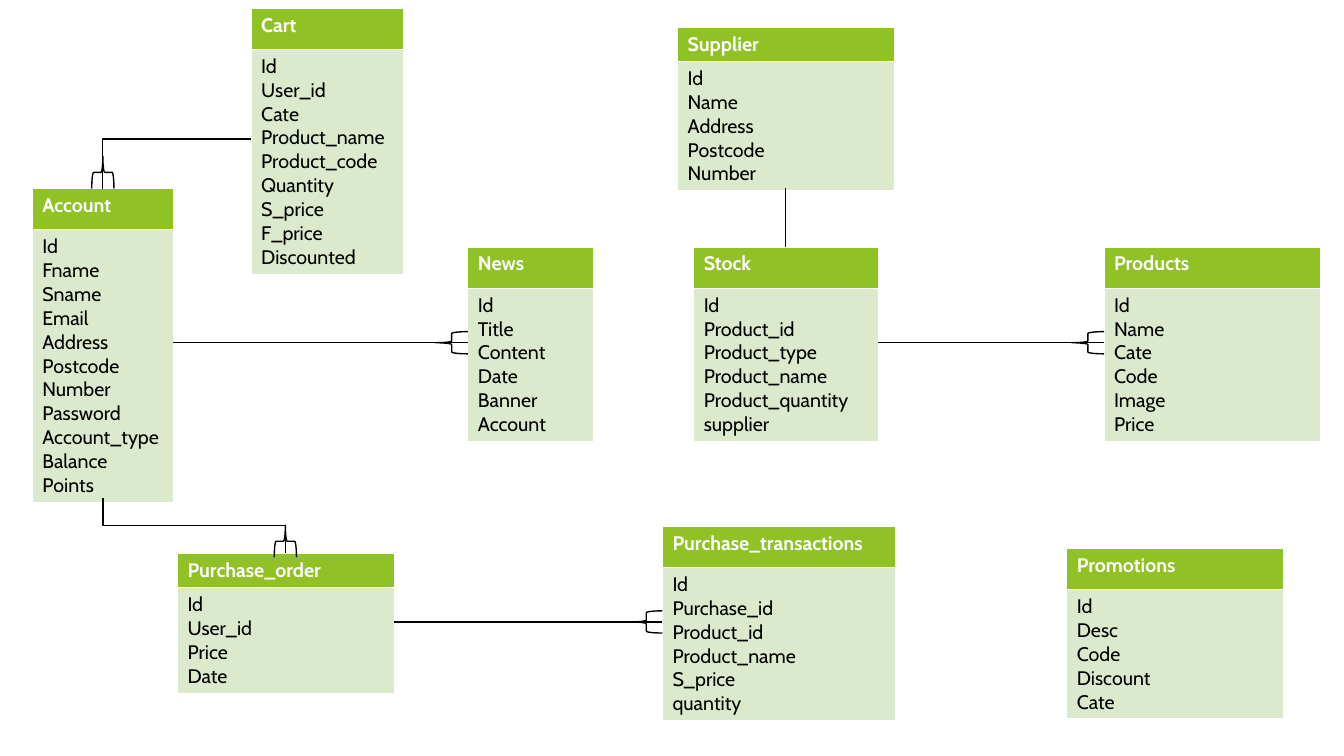
from pptx import Presentation
from pptx.dml.color import RGBColor
from pptx.enum import shapes, text
from pptx.oxml import parse_xml
from pptx.oxml.ns import nsdecls
from pptx.util import Inches, Pt

GREEN = RGBColor(0x90, 0xC2, 0x26)
PALE_GREEN = RGBColor(0xDB, 0xE9, 0xCD)
WHITE = RGBColor(0xFF, 0xFF, 0xFF)
BLACK = RGBColor(0x00, 0x00, 0x00)
FONT = "Cabin"

# left, top, width, header height, entity name, fields
ENTITIES = [
    (0.32, 1.87, 1.4, 0.41, "Account",
     "Id Fname Sname Email Address Postcode Number Password Account_type Balance Points"),
    (2.49, 0.08, 1.51, 0.41, "Cart",
     "Id User_id Cate Product_name Product_code Quantity S_price F_price Discounted"),
    (4.64, 2.45, 1.25, 0.41, "News", "Id Title Content Date Banner Account"),
    (10.95, 2.45, 2.15, 0.41, "Products", "Id Name Cate Code Image Price"),
    (10.58, 5.44, 2.15, 0.41, "Promotions", "Id Desc Code Discount Cate"),
    (1.76, 5.49, 2.15, 0.34, "Purchase_order", "Id User_id Price Date"),
    (6.57, 5.22, 2.31, 0.41, "Purchase_transactions",
     "Id Purchase_id Product_id Product_name S_price quantity"),
    (6.88, 2.45, 1.83, 0.41, "Stock",
     "Id Product_id Product_type Product_name Product_quantity supplier"),
    (6.72, 0.27, 2.15, 0.34, "Supplier", "Id Name Address Postcode Number"),
]


def write_lines(frame, lines, *, color, bold=False, size=14):
    for index, line in enumerate(lines):
        para = frame.paragraphs[0] if index == 0 else frame.add_paragraph()
        para.alignment = text.PP_ALIGN.LEFT
        span = para.add_run()
        span.text = line
        span.font.name = FONT
        span.font.size = Pt(size)
        span.font.bold = bold
        span.font.color.rgb = color


class Diagram:
    """Draws entity tables and their relations on one page."""

    field_height = 0.233
    cell_padding = 0.1
    brace_length = 0.32
    brace_width = 0.22

    def __init__(self, page):
        self.page = page

    def entity(self, left, top, width, header, name, fields):
        fields = fields.split()
        body = self.cell_padding + self.field_height * len(fields)
        table = self.page.shapes.add_table(
            2, 1, Inches(left), Inches(top), Inches(width), Inches(header + body)).table
        rows = [(header, [name], GREEN, WHITE, True),
                (body, fields, PALE_GREEN, BLACK, False)]
        for index, (height, lines, fill, color, bold) in enumerate(rows):
            table.rows[index].height = Inches(height)
            cell = table.cell(index, 0)
            cell.fill.solid()
            cell.fill.fore_color.rgb = fill
            write_lines(cell.text_frame, lines, color=color, bold=bold)

    def outline(self, item):
        item.line.color.rgb = BLACK
        item.line.width = Pt(1)

    def relation(self, x1, y1, x2, y2, kind=shapes.MSO_CONNECTOR.STRAIGHT):
        link = self.page.shapes.add_connector(
            kind, Inches(x1), Inches(y1), Inches(x2), Inches(y2))
        self.outline(link)
        link._element.spPr.append(parse_xml(f"<a:effectLst {nsdecls('a')}/>"))
        return link

    def corner(self, x1, y1, x2, y2):
        """Runs across, then turns once."""
        link = self.relation(x1, y1, x2, y2, shapes.MSO_CONNECTOR.ELBOW)
        link._element.spPr.prstGeom.set("prst", "bentConnector2")

    def step_down(self, x1, y1, x2, y2):
        """Runs down, across and down: an elbow turned by a quarter."""
        x, y = (x1 + x2) / 2, (y1 + y2) / 2
        half_width, half_height = (y2 - y1) / 2, (x2 - x1) / 2
        link = self.relation(x + half_width, y - half_height,
                             x - half_width, y + half_height,
                             shapes.MSO_CONNECTOR.ELBOW)
        link._element.spPr.xfrm.set("rot", str(270 * 60000))

    def many(self, x, y, down=False):
        """Places a brace whose open side touches the point x, y."""
        half = self.brace_length / 2
        center_x, center_y = (x, y - half) if down else (x - half, y)
        brace = self.page.shapes.add_shape(
            shapes.MSO_SHAPE.LEFT_BRACE,
            Inches(center_x - half), Inches(center_y - self.brace_width / 2),
            Inches(self.brace_length), Inches(self.brace_width))
        brace.rotation = 90 if down else 0
        brace.shadow.inherit = False
        brace.fill.background()
        self.outline(brace)


def main():
    deck = Presentation()
    deck.slide_width, deck.slide_height = Inches(13.33), Inches(7.5)
    diagram = Diagram(deck.slides.add_slide(deck.slide_layouts[6]))

    # Entities
    for entity in ENTITIES:
        diagram.entity(*entity)

    # Relations
    diagram.relation(1.72, 3.4, 4.64, 3.4)
    diagram.relation(3.91, 6.17, 6.57, 6.17)
    diagram.relation(7.79, 2.45, 7.79, 1.87)
    diagram.relation(10.95, 3.4, 8.71, 3.4)
    diagram.corner(2.49, 1.38, 1.02, 1.87)
    diagram.step_down(1.02, 4.94, 2.83, 5.49)

    # "Many" ends
    for x, y in [(4.64, 3.4), (6.57, 6.17), (10.95, 3.4)]:
        diagram.many(x, y)
    for x, y in [(1.02, 1.87), (2.83, 5.53)]:
        diagram.many(x, y, down=True)

    deck.save("out.pptx")


if __name__ == "__main__":
    main()
